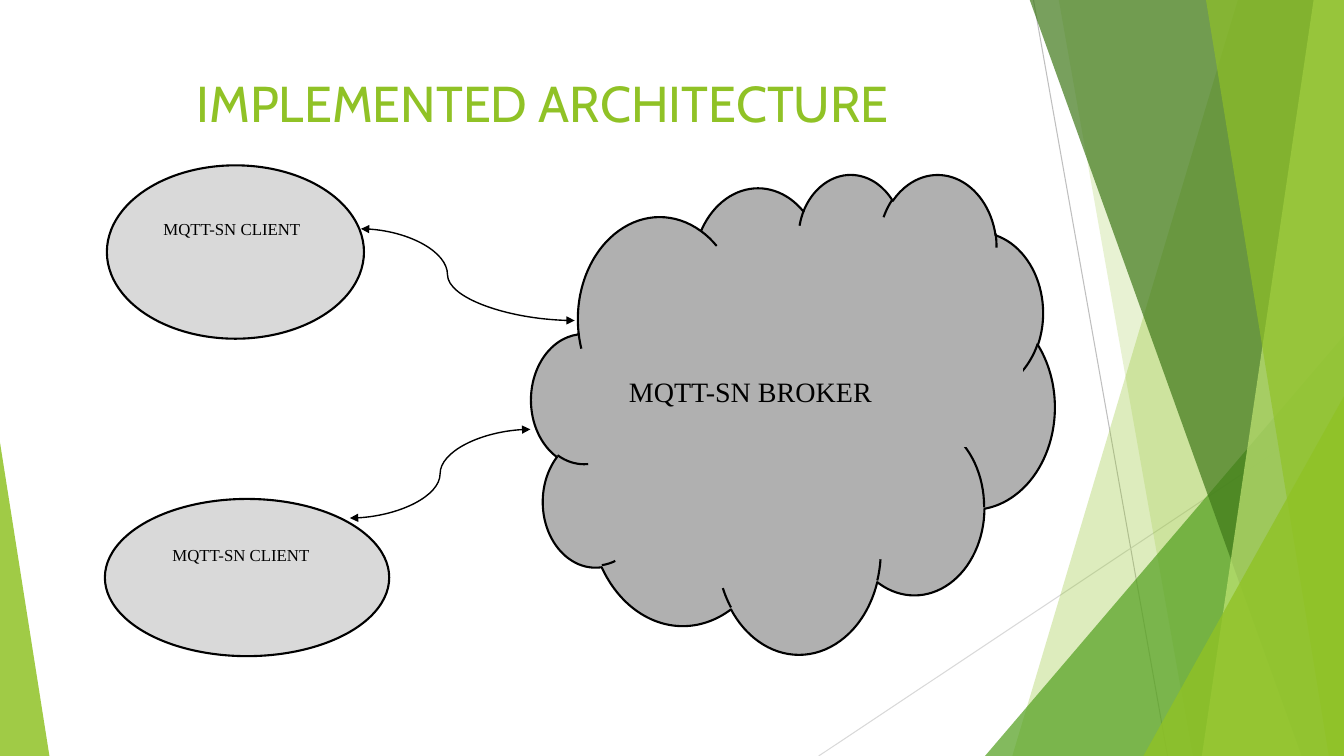
from lxml import etree
from pptx import Presentation
from pptx.dml.color import RGBColor
from pptx.enum.shapes import MSO_CONNECTOR as Connector, MSO_SHAPE as Shape
from pptx.enum.text import MSO_ANCHOR as Anchor, PP_ALIGN as Align
from pptx.oxml.ns import qn
from pptx.util import Inches, Pt

WIDTH, HEIGHT = 13.33, 7.5
THEME = {
    "green": "90C226", "leaf": "54A021", "forest": "3F7819", "lime": "C0E474",
    "client": "D9D9D9", "broker": "B0B0B0", "ink": "000000",
    "title_font": "Cabin", "label_font": "Times New Roman",
    "title_size": 36, "broker_size": 20, "client_size": 12,
}

# Content: boxes are left, top, width, height
TITLE = ("IMPLEMENTED ARCHITECTURE ", (0.74, 0.67, 9.4, 0.79))
# preset, outline box, role, label, label box, alignment
NODES = [
    (Shape.CLOUD, (5.27, 1.72, 5.19, 4.76), "broker",
     "MQTT-SN BROKER", (6.14, 3.64, 4, 0.79), Align.LEFT),
    (Shape.OVAL, (1.06, 1.64, 2.55, 1.72), "client",
     "MQTT-SN CLIENT", (1.51, 2.11, 1.58, 0.88), Align.CENTER),
    (Shape.OVAL, (1.04, 4.95, 2.82, 1.56), "client",
     "MQTT-SN CLIENT", (1.6, 5.34, 1.58, 0.78), Align.CENTER),
]
# begin, end, position of the bend
LINKS = [((3.58, 2.27), (5.7, 3.18), 0.405), ((3.47, 5.14), (5.26, 4.26), 0.5)]

# Backdrop: thin lines, then bands reaching the right edge and corner triangles
THIN_LINES = [((10.25, 0), (11.58, HEIGHT), "BFBFBF"),
              ((WIDTH, 4.03), (8.12, HEIGHT), "D9D9D9")]
# band: top x, bottom x; triangle: left, top, width, apex; then colour, opacity %
FACETS = [
    ("band", (12.28, 10.04), "green", 30),
    ("band", (10.5, 11.83), "green", 20),
    ("triangle", (9.77, 3.33, 3.56, 1), "leaf", 72),
    ("band", (10.21, 12.91), "forest", 70),
    ("band", (13.03, 11.92), "lime", 70),
    ("band", (11.96, 13.18), "green", 65),
    ("triangle", (11.34, 3.93, 1.99, 1), "green", 80),
    ("triangle", (0, 4.39, 0.49, 0), "green", 85),
]


def rgb(name):
    return RGBColor.from_string(THEME.get(name, name))


def paint(shape, fill, line=None, weight=0.5, opacity=100):
    shape.shadow.inherit = False
    shape.fill.solid()
    shape.fill.fore_color.rgb = rgb(fill)
    if opacity < 100:
        color = shape.fill._xPr.find(".//" + qn("a:srgbClr"))
        etree.SubElement(color, qn("a:alpha"), val=str(opacity * 1000))
    if line:
        shape.line.color.rgb = rgb(line)
        shape.line.width = Pt(weight)
    else:
        shape.line.fill.background()


def add_preset(slide, preset, box):
    return slide.shapes.add_shape(preset, *map(Inches, box))


def add_line(slide, kind, begin, end, color, weight):
    line = slide.shapes.add_connector(kind, *map(Inches, begin + end))
    line.line.color.rgb = rgb(color)
    line.line.width = Pt(weight)
    etree.SubElement(line._element.spPr, qn("a:effectLst"))
    return line


def add_facet(slide, kind, geometry, color, opacity):
    if kind == "band":
        top_x, bottom_x = geometry
        top = -0.01
        corners = [(WIDTH, top), (WIDTH, HEIGHT), (bottom_x, HEIGHT)]
        builder = slide.shapes.build_freeform(Inches(top_x), Inches(top))
        builder.add_line_segments([(Inches(x), Inches(y)) for x, y in corners])
        shape = builder.convert_to_shape()
    else:
        left, top, width, apex = geometry
        box = (left, top, width, HEIGHT - top)
        shape = add_preset(slide, Shape.ISOSCELES_TRIANGLE, box)
        shape.adjustments[0] = apex
    paint(shape, color, opacity=opacity)


def write(shape, text, font, size, color, alignment):
    frame = shape.text_frame
    frame.word_wrap = True
    frame.vertical_anchor = Anchor.TOP
    frame.text = text
    paragraph = frame.paragraphs[0]
    paragraph.alignment = alignment
    run_font = paragraph.runs[0].font
    run_font.name = THEME[font]
    run_font.size = Pt(THEME[size])
    run_font.color.rgb = rgb(color)
    return paragraph


def add_node(slide, preset, box, role, label, label_box, alignment):
    paint(add_preset(slide, preset, box), role, "ink", 1.5)
    plate = add_preset(slide, Shape.RECTANGLE, label_box)
    paint(plate, role, role)
    paragraph = write(plate, label, "label_font", role + "_size", "ink", alignment)
    paragraph.line_spacing = 1.07
    paragraph.space_after = Pt(8)


def add_link(slide, begin, end, bend):
    link = add_line(slide, Connector.CURVE, begin, end, "ink", 1)
    guides = link._element.spPr.find(qn("a:prstGeom")).get_or_add_avLst()
    etree.SubElement(guides, qn("a:gd"), name="adj1", fmla=f"val {round(bend * 100000)}")
    outline = link.line._get_or_add_ln()
    for end_tag in ("a:headEnd", "a:tailEnd"):
        etree.SubElement(outline, qn(end_tag), type="triangle")


def main():
    presentation = Presentation()
    presentation.slide_width = Inches(WIDTH)
    presentation.slide_height = Inches(HEIGHT)
    slide = presentation.slides.add_slide(presentation.slide_layouts[6])

    # Backdrop
    for begin, end, color in THIN_LINES:
        add_line(slide, Connector.STRAIGHT, begin, end, color, 0.75)
    for facet in FACETS:
        add_facet(slide, *facet)

    # Title
    text, box = TITLE
    title = slide.shapes.add_textbox(*map(Inches, box))
    write(title, text, "title_font", "title_size", "green", Align.CENTER)

    # Architecture
    for node in NODES:
        add_node(slide, *node)
    for link in LINKS:
        add_link(slide, *link)

    presentation.save("out.pptx")


if __name__ == "__main__":
    main()
